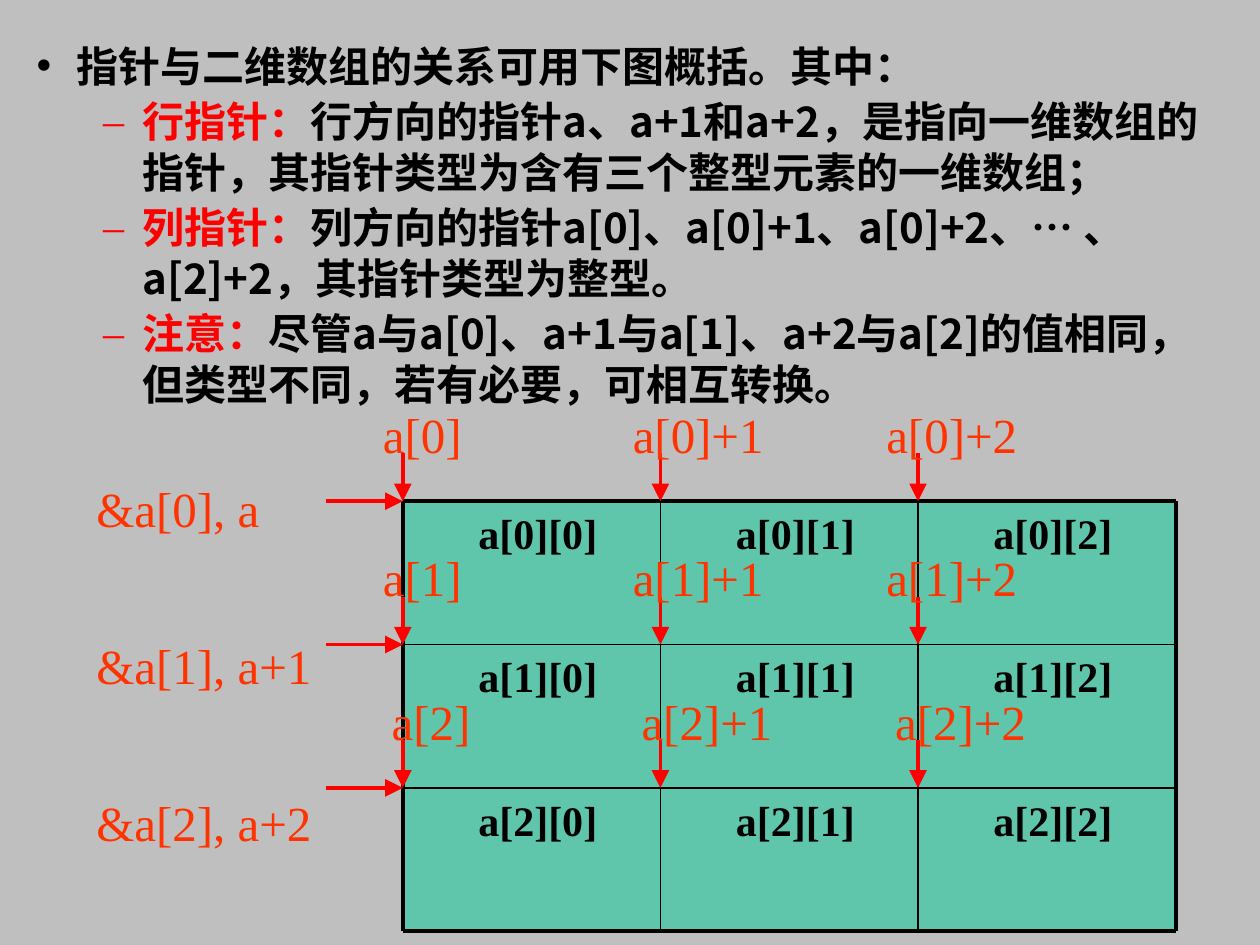
from lxml.etree import SubElement
from pptx import Presentation
from pptx.dml.color import RGBColor
from pptx.enum.shapes import MSO_CONNECTOR as Connector, MSO_SHAPE as Preset
from pptx.enum.text import MSO_ANCHOR as Anchor, PP_ALIGN as Align
from pptx.oxml.ns import qn
from pptx.util import Pt

CJK, SERIF = "Noto Sans CJK SC", "Times New Roman"
BLACK, RED, ORANGE, GREEN, GREY = "000000", "FF0000", "FF3300", "00CC99", "BFBFBF"
GRID_LEFT, GRID_TOP, COLUMN, ROW, SIZE = 230.2, 286.4, 147.2, 81.9, 3

BODY = {"size": Pt(24), "name": CJK, "bold": True}
CELL = {"size": Pt(24), "name": SERIF, "bold": True}
LABEL = {"size": Pt(28), "name": SERIF, "bold": False}

INTRO = "指针与二维数组的关系可用下图概括。其中："
NOTES = [
    [("行指针：", RED, CJK),
     ("行方向的指针a、a+1和a+2，是指向一维数组的指针，其指针类型为含有三个整型元素的一维数组；", BLACK, CJK)],
    [("列指针：", RED, CJK),
     ("列方向的指针a[0]、a[0]+1、a[0]+2、", BLACK, CJK),
     ("…", BLACK, "Arial"),
     (" 、a[2]+2，其指针类型为整型。", BLACK, CJK)],
    [("注意：", RED, CJK),
     ("尽管a与a[0]、a+1与a[1]、a+2与a[2]的值相同，但类型不同，若有必要，可相互转换。", BLACK, CJK)],
]


def color(hex_value):
    return RGBColor.from_string(hex_value)


def apply_format(target, values):
    for attribute, value in values.items():
        setattr(target, attribute, value)


def add_run(paragraph, text, text_format, hex_value):
    run = paragraph.add_run()
    run.text = text
    apply_format(run.font, text_format)
    run.font.color.rgb = color(hex_value)
    return run


def set_indent(paragraph, left, first=0):
    properties = paragraph._p.get_or_add_pPr()
    properties.set("marL", str(Pt(left)))
    properties.set("indent", str(Pt(first)))
    return properties


def add_bullet(paragraph, mark, hex_value, typeface, left):
    properties = set_indent(paragraph, left, -22.5)
    bullet_color = SubElement(properties, qn("a:buClr"))
    SubElement(bullet_color, qn("a:srgbClr"), val=hex_value)
    SubElement(properties, qn("a:buFont"), typeface=typeface)
    SubElement(properties, qn("a:buChar"), char=mark)


def add_tabs(paragraph, stops):
    tabs = SubElement(paragraph._p.get_or_add_pPr(), qn("a:tabLst"))
    for stop in stops:
        SubElement(tabs, qn("a:tab"), pos=str(Pt(stop)), algn="l")


def add_text_frame(slide, left, top, width, height):
    frame = slide.shapes.add_textbox(Pt(left), Pt(top), Pt(width), Pt(height)).text_frame
    frame.word_wrap = True
    return frame


def next_paragraph(frame, index):
    return frame.add_paragraph() if index else frame.paragraphs[0]


def add_explanation(slide):
    frame = add_text_frame(slide, 13.9, 19.4, 692, 218)
    for index, parts in enumerate([[(INTRO, BLACK, CJK)]] + NOTES):
        paragraph = next_paragraph(frame, index)
        if index:
            add_bullet(paragraph, "–", RED, SERIF, 60.5)
        else:
            add_bullet(paragraph, "•", BLACK, "Arial", 22.5)
        apply_format(paragraph, {"level": min(index, 1),
                                 "space_before": Pt(3 if index else 0)})
        for text, hex_value, typeface in parts:
            run = add_run(paragraph, text, BODY | {"name": typeface}, hex_value)
            SubElement(run.font._element, qn("a:ea"), typeface=CJK)


def add_cell(slide, row, column):
    cell = slide.shapes.add_shape(
        Preset.RECTANGLE, Pt(GRID_LEFT + column * COLUMN), Pt(GRID_TOP + row * ROW),
        Pt(COLUMN), Pt(ROW))
    cell.shadow.inherit = False
    cell.line.fill.background()
    cell.fill.solid()
    cell.fill.fore_color.rgb = color(GREEN)
    shade = cell.fill._xPr.find(qn("a:solidFill")).find(qn("a:srgbClr"))
    SubElement(shade, qn("a:alpha"), val="50000")
    cell.text_frame.vertical_anchor = Anchor.TOP
    paragraph = cell.text_frame.paragraphs[0]
    paragraph.alignment = Align.LEFT
    set_indent(paragraph, 36)
    add_run(paragraph, f"a[{row}][{column}]", CELL, BLACK)


def add_line(slide, start, end, hex_value, width, arrow=False):
    line = slide.shapes.add_connector(
        Connector.STRAIGHT, *(Pt(value) for value in (*start, *end)))
    line.line.color.rgb = color(hex_value)
    line.line.width = Pt(width)
    if arrow:
        SubElement(line.line._get_or_add_ln(), qn("a:tailEnd"),
                   type="triangle", w="lg", len="lg")
    SubElement(line._element.spPr, qn("a:effectLst"))


def add_grid(slide):
    right, bottom = GRID_LEFT + SIZE * COLUMN, GRID_TOP + SIZE * ROW
    for row in range(SIZE):
        for column in range(SIZE):
            add_cell(slide, row, column)
    for index in range(SIZE + 1):
        width = 2.25 if index in (0, SIZE) else 1
        x, y = GRID_LEFT + index * COLUMN, GRID_TOP + index * ROW
        add_line(slide, (GRID_LEFT, y), (right, y), BLACK, width)
        add_line(slide, (x, GRID_TOP), (x, bottom), BLACK, width)


def add_row_pointers(slide):
    frame = add_text_frame(slide, 48, 270, 141, 220)
    for row, text in enumerate(["&a[0], a", "&a[1], a+1", "&a[2], a+2"]):
        paragraph = next_paragraph(frame, row)
        paragraph.space_before = Pt(56 if row else 0)
        add_run(paragraph, text, LABEL, ORANGE)
        y = GRID_TOP + row * ROW
        add_line(slide, (GRID_LEFT - 44, y), (GRID_LEFT, y), RED, 2, arrow=True)


def add_column_pointers(slide):
    for row, left in enumerate([211.7, 211.7, 216.7]):
        y = GRID_TOP + row * ROW
        for column in range(SIZE):
            x = GRID_LEFT + column * COLUMN
            add_line(slide, (x, y - 27.3), (x, y), RED, 2, arrow=True)
        paragraph = add_text_frame(slide, left, y - 58.7, 411, 41).paragraphs[0]
        add_tabs(paragraph, [142.8, 287.7])
        add_run(paragraph, f"a[{row}]\ta[{row}]+1\ta[{row}]+2", LABEL, ORANGE)


def main():
    deck = Presentation()
    deck.slide_width, deck.slide_height = Pt(720), Pt(540)
    slide = deck.slides.add_slide(deck.slide_layouts[6])
    slide.background.fill.solid()
    slide.background.fill.fore_color.rgb = color(GREY)
    add_explanation(slide)
    add_grid(slide)
    add_row_pointers(slide)
    add_column_pointers(slide)
    deck.save("out.pptx")


if __name__ == "__main__":
    main()
